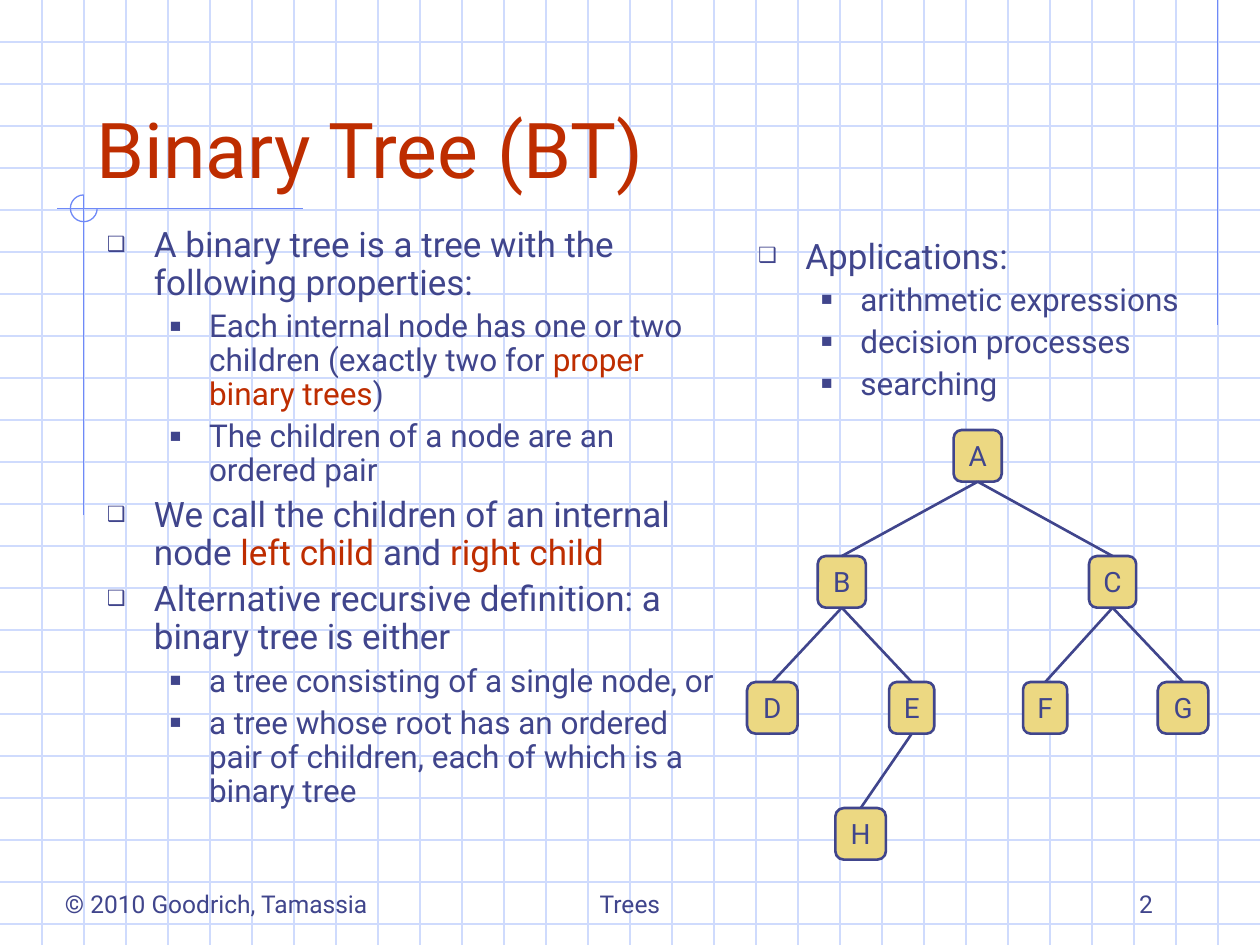
"""Build the binary tree lecture slide."""
from lxml.etree import SubElement
from pptx import Presentation
from pptx.dml.color import RGBColor
from pptx.enum.shapes import MSO_CONNECTOR, MSO_SHAPE
from pptx.enum.text import MSO_ANCHOR, MSO_AUTO_SIZE, PP_ALIGN
from pptx.oxml.ns import qn
from pptx.util import Cm, Pt

INK, RED, GOLD = "40458C", "BE2D00", "ECD882"
PALE, BLUE = "CFDBFD", "6F89F7"
WIDE, HIGH, STEP = 25.4, 19.05, 2.54 / 3

deck = Presentation()
deck.slide_width, deck.slide_height = Cm(WIDE), Cm(HIGH)
slide = deck.slides.add_slide(deck.slide_layouts[3])
shapes = slide.shapes
hue = RGBColor.from_string


def link(ends, tint, weight=0.75):
    line = shapes.add_connector(MSO_CONNECTOR.STRAIGHT, *map(Cm, ends))
    line.line.color.rgb = hue(tint)
    line.line.width = Pt(weight)
    SubElement(line._element.spPr, qn("a:effectLst"))
    return line


def style(para, size, tint=INK, align=PP_ALIGN.LEFT):
    para.alignment = align
    para.font.name = "Roboto"
    para.font.size = Pt(size)
    para.font.color.rgb = hue(tint)


for row in range(1, 23):
    link((0, row * STEP, WIDE, row * STEP), PALE)
for col in range(1, 30):
    link((col * STEP, 0, col * STEP, HIGH), PALE)
for ends in [(24.55, 0, 24.55, 6.55), (6.1, 4.21, 1.14, 4.21), (1.69, 3.93, 1.69, 10.39)]:
    link(ends, BLUE)

arc = shapes.add_shape(MSO_SHAPE.ARC, Cm(1.42), Cm(3.93), Cm(0.54), Cm(0.54))
arc.adjustments[0], arc.adjustments[1] = 0, 162
arc.shadow.inherit = False
arc.fill.background()
arc.line.color.rgb = hue(BLUE)
arc.line.width = Pt(0.75)

title, left, right = slide.placeholders
boxes = [
    (title, 1.69, 0.85, 21.59, 3.18),
    (left, 1.9, 4.45, 12.91, 13.12),
    (right, 15.03, 4.6, 9.1, 4.45),
]
for box, *place in boxes:
    box.left, box.top, box.width, box.height = map(Cm, place)
    box.text_frame.auto_size = MSO_AUTO_SIZE.NONE
    shapes._spTree.append(box._element)

title.text_frame.text = "Binary Tree (BT)"
title.text_frame.vertical_anchor = MSO_ANCHOR.BOTTOM
style(title.text_frame.paragraphs[0], 44, RED)

# Text between bars is set in the accent colour.
lists = [
    (left, [
        (0, "A binary tree is a tree with the following properties:"),
        (1, "Each internal node has one or two children (exactly two for |proper binary trees|)"),
        (1, "The children of a node are an ordered pair"),
        (0, "We call the children of an internal node |left child| and |right child"),
        (0, "Alternative recursive definition: a binary tree is either"),
        (1, "a tree consisting of a single node, or"),
        (1, "a tree whose root has an ordered pair of children, each of which is a binary tree"),
    ]),
    (right, [
        (0, "Applications:"),
        (1, "arithmetic expressions"),
        (1, "decision processes"),
        (1, "searching"),
    ]),
]
levels = [(20, 5, 0.95, 0.95, "❑"), (18, 4.5, 2.06, 0.79, "■")]
for box, items in lists:
    frame = box.text_frame
    for spot, (level, text) in enumerate(items):
        size, gap, margin, hang, mark = levels[level]
        para = frame.add_paragraph() if spot else frame.paragraphs[0]
        para.level = level
        para.line_spacing = 1.0 if box is right and level == 0 else 0.9
        para.space_before = Pt(gap)
        props = para._p.get_or_add_pPr()
        props.set("marL", str(Cm(margin)))
        props.set("indent", str(-Cm(hang)))
        SubElement(SubElement(props, qn("a:buClr")), qn("a:srgbClr"), val=INK)
        SubElement(props, qn("a:buSzPct"), val="60000")
        SubElement(props, qn("a:buChar"), char=mark)
        style(para, size)
        for part, words in enumerate(text.split("|")):
            run = para.add_run()
            run.text = words
            if part % 2:
                run.font.color.rgb = hue(RED)

nodes = [
    ("A", 19.71, 0, 0.97), ("B", 16.97, 1, 0.97), ("C", 22.43, 1, 0.95),
    ("D", 15.57, 2, 1.02), ("E", 18.38, 2, 0.91), ("F", 21.07, 2, 0.89),
    ("G", 23.85, 2, 1.02), ("H", 17.35, 3, 1.02),
]
tree = {}
for name, mid, depth, width in nodes:
    node = shapes.add_shape(MSO_SHAPE.ROUNDED_RECTANGLE, Cm(mid - width / 2),
                            Cm(8.67 + 2.54 * depth), Cm(width), Cm(1.04))
    node.shadow.inherit = False
    node.fill.solid()
    node.fill.fore_color.rgb = hue(GOLD)
    node.line.color.rgb = hue(INK)
    node.line.width = Pt(1.5)
    frame = node.text_frame
    frame.word_wrap = False
    frame.vertical_anchor = MSO_ANCHOR.MIDDLE
    frame.text = name
    style(frame.paragraphs[0], 16, align=PP_ALIGN.CENTER)
    tree[name] = node

for top, low in ["AB", "AC", "CG", "CF", "BE", "BD", "EH"]:
    edge = link((0, 0, 0, 0), INK, 1.5)
    edge.begin_connect(tree[top], 2)
    edge.end_connect(tree[low], 0)

foot = [
    ("© 2010 Goodrich, Tamassia", 1.06, 6.99, PP_ALIGN.LEFT),
    ("Trees", 8.68, 8.04, PP_ALIGN.CENTER),
    ("2", 18.2, 5.29, PP_ALIGN.RIGHT),
]
for text, start, width, align in foot:
    frame = shapes.add_textbox(Cm(start), Cm(17.36), Cm(width), Cm(1.27)).text_frame
    frame.word_wrap = True
    frame.vertical_anchor = MSO_ANCHOR.BOTTOM
    frame.text = text
    style(frame.paragraphs[0], 14, align=align)

deck.save("out.pptx")
